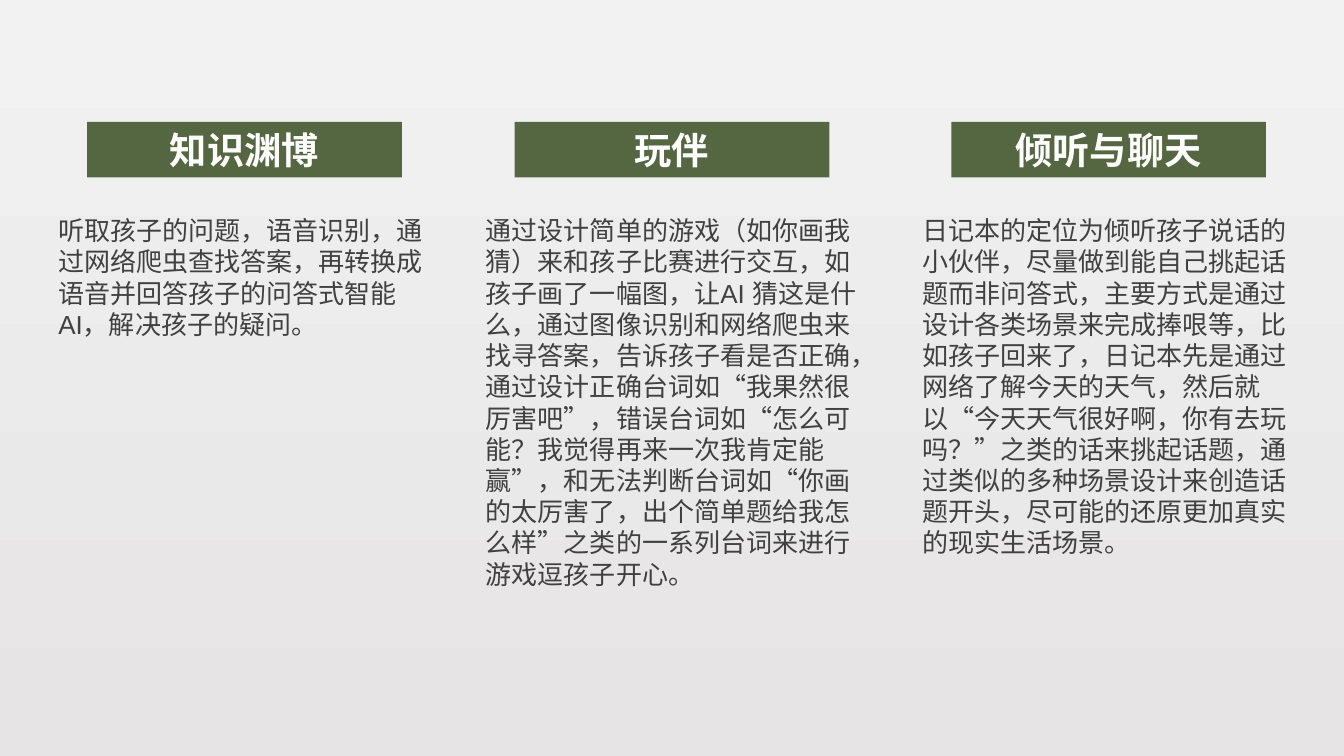
"""Build a slide of three headed text columns."""
from pptx import Presentation
from pptx.dml.color import RGBColor
from pptx.enum.lang import MSO_LANGUAGE_ID
from pptx.enum.shapes import MSO_SHAPE
from pptx.enum.text import MSO_ANCHOR, MSO_AUTO_SIZE, PP_ALIGN
from pptx.util import Inches, Pt

COLUMNS = [
    (0.48, 1.36, "知识渊博",
     "听取孩子的问题，语音识别，通过网络爬虫查找答案，再转换成语音并回答孩子的问答式智能AI，解决孩子的疑问。"),
    (4.72, 3.87, "玩伴",
     "通过设计简单的游戏（如你画我猜）来和孩子比赛进行交互，如孩子画了一幅图，让AI 猜这是什么，"
     "通过图像识别和网络爬虫来找寻答案，告诉孩子看是否正确，通过设计正确台词如“我果然很厉害吧”，"
     "错误台词如“怎么可能？我觉得再来一次我肯定能赢”，和无法判断台词如“你画的太厉害了，"
     "出个简单题给我怎么样”之类的一系列台词来进行游戏逗孩子开心。"),
    (9.05, 3.56, "倾听与聊天",
     "日记本的定位为倾听孩子说话的小伙伴，尽量做到能自己挑起话题而非问答式，"
     "主要方式是通过设计各类场景来完成捧哏等，比如孩子回来了，日记本先是通过网络了解今天的天气，"
     "然后就以“今天天气很好啊，你有去玩吗？”之类的话来挑起话题，"
     "通过类似的多种场景设计来创造话题开头，尽可能的还原更加真实的现实生活场景。"),
]
THEME = {
    "font": "Arial", "head": 26.6, "body": 18.6,
    "green": "556740", "white": "FFFFFF", "ink": "404040",
    "back": ("F2F2F2", "E6E4E4"),
}
HEAD_TOP, HEAD_WIDE, HEAD_HIGH = 1.21, 3.12, 0.55
BODY_TOP, BODY_WIDE = 2.08, 3.89


def color(name):
    return RGBColor.from_string(THEME[name])


def write(shape, text, size, ink, bold, align):
    frame = shape.text_frame
    frame.text = text
    frame.word_wrap = True
    frame.auto_size = MSO_AUTO_SIZE.SHAPE_TO_FIT_TEXT
    para = frame.paragraphs[0]
    para.alignment = align
    font = para.runs[0].font
    font.name = THEME["font"]
    font.size = Pt(THEME[size])
    font.bold = bold
    font.language_id = MSO_LANGUAGE_ID.SIMPLIFIED_CHINESE
    font.color.rgb = color(ink)


def add_head(slide, left, text):
    inset = (BODY_WIDE - HEAD_WIDE) / 2
    bar = slide.shapes.add_shape(
        MSO_SHAPE.RECTANGLE, Inches(left + inset), Inches(HEAD_TOP),
        Inches(HEAD_WIDE), Inches(HEAD_HIGH))
    bar.shadow.inherit = False
    bar.fill.solid()
    bar.fill.fore_color.rgb = color("green")
    bar.line.fill.background()
    write(bar, text, "head", "white", True, PP_ALIGN.CENTER)
    bar.text_frame.vertical_anchor = MSO_ANCHOR.MIDDLE


def add_body(slide, left, height, text):
    box = slide.shapes.add_textbox(
        Inches(left), Inches(BODY_TOP), Inches(BODY_WIDE), Inches(height))
    write(box, text, "body", "ink", False, PP_ALIGN.LEFT)


def main():
    deck = Presentation()
    deck.slide_width, deck.slide_height = Inches(13.33), Inches(7.5)
    slide = deck.slides.add_slide(deck.slide_layouts[6])
    fill = slide.background.fill
    fill.gradient()
    fill.gradient_angle = 270
    for stop, tone in zip(fill.gradient_stops, THEME["back"]):
        stop.color.rgb = RGBColor.from_string(tone)
    for left, height, head, body in COLUMNS:
        add_head(slide, left, head)
        add_body(slide, left, height, body)
    deck.save("out.pptx")


if __name__ == "__main__":
    main()
